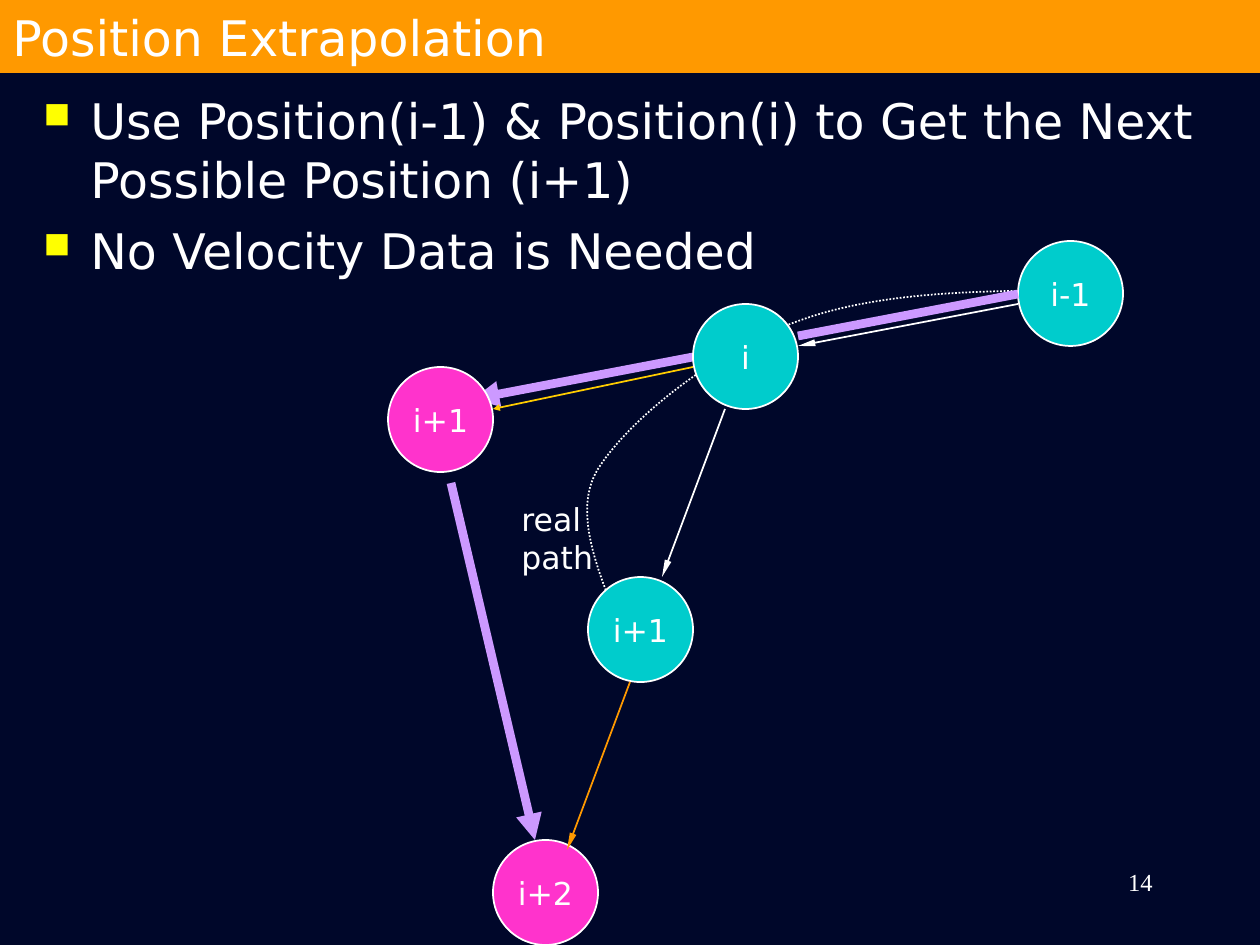
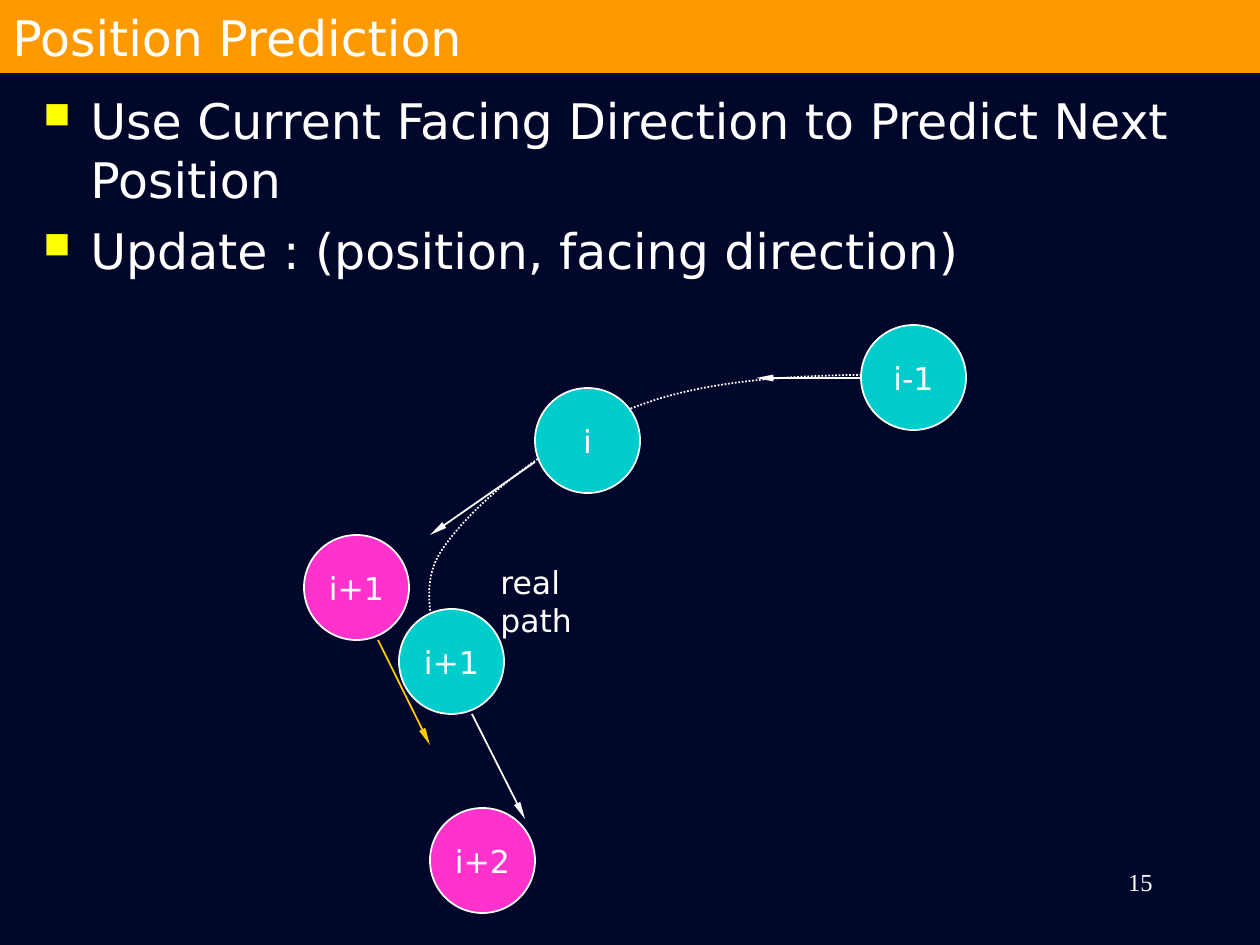
from pptx import Presentation, util as u
from pptx.dml.color import RGBColor
from pptx.enum import dml, shapes, text
from pptx.oxml import ns
from lxml import etree

SCALE = 914400 / 126


class Theme:
    background = RGBColor.from_string("00072A")
    band = RGBColor.from_string("FF9900")
    white = RGBColor.from_string("FFFFFF")
    actual = RGBColor.from_string("00CCCC")
    predicted = RGBColor.from_string("FF33CC")
    extrapolated = RGBColor.from_string("CC99FF")
    yellow = RGBColor.from_string("FFCC00")
    bullet = "FFFF00"
    font = "DejaVu Sans"
    number_font = "Times New Roman"
    heading_size = u.Pt(28)
    label_size = u.Pt(18)
    number_size = u.Pt(14)
    thin = u.Pt(1)
    thick = u.Pt(5)


def px(*lengths):
    return [u.Emu(round(length * SCALE)) for length in lengths]


def write(shape, lines, size, font=Theme.font, align=text.PP_ALIGN.LEFT, wrap=True):
    frame = shape.text_frame
    frame.word_wrap = wrap
    frame.text = "\n".join(lines)
    for paragraph in frame.paragraphs:
        paragraph.alignment = align
        paragraph.font.size = size
        paragraph.font.name = font
        paragraph.font.color.rgb = Theme.white
    return frame


DIAMETER = 105
PATH = [(1113, 291), (1002, 290), (890, 289), (804, 319), (718, 348),
        (630, 418), (598, 469), (567, 519), (612, 595), (615, 620)]

SLIDES = [
    dict(
        title="Position Extrapolation",
        number="14",
        body_height=525,
        bullets=["Use Position(i-1) & Position(i) to Get the Next Possible Position (i+1)",
                 "No Velocity Data is Needed"],
        path_shift=(0, 0),
        label=(509, 494),
        circles=[("i-1", 1018, 241, Theme.actual), ("i+1", 388, 367, Theme.predicted),
                 ("i", 693, 304, Theme.actual), ("i+1", 588, 577, Theme.actual),
                 ("i+2", 493, 840, Theme.predicted)],
        lines_behind=[(693, 357, 473, 399, Theme.extrapolated, Theme.thick, "med")],
        lines_in_front=[(725, 409, 662, 577, Theme.white, Theme.thin, "lg"),
                        (630, 682, 567, 850, Theme.band, Theme.thin, "lg"),
                        (1018, 304, 798, 346, Theme.white, Theme.thin, "lg"),
                        (693, 367, 493, 409, Theme.yellow, Theme.thin, "sm"),
                        (1018, 294, 798, 336, Theme.extrapolated, Theme.thick, None),
                        (451, 483, 535, 840, Theme.extrapolated, Theme.thick, "med")],
    ),
    dict(
        title="Position Prediction",
        number="15",
        body_height=210,
        bullets=["Use Current Facing Direction to Predict Next Position",
                 "Update : (position, facing direction)"],
        path_shift=(-158, 84),
        label=(488, 557),
        circles=[("i-1", 861, 325, Theme.actual), ("i+1", 304, 535, Theme.predicted),
                 ("i", 535, 388, Theme.actual), ("i+1", 399, 609, Theme.actual),
                 ("i+2", 430, 808, Theme.predicted)],
        lines_behind=[],
        lines_in_front=[(861, 378, 756, 378, Theme.white, Theme.thin, "lg"),
                        (535, 462, 430, 535, Theme.white, Theme.thin, "lg"),
                        (472, 714, 525, 819, Theme.white, Theme.thin, "lg"),
                        (378, 640, 430, 745, Theme.yellow, Theme.thin, "lg")],
    ),
]

presentation = Presentation()
presentation.slide_width, presentation.slide_height = px(1260, 945)

for content in SLIDES:
    slide = presentation.slides.add_slide(presentation.slide_layouts[6])
    slide.background.fill.solid()
    slide.background.fill.fore_color.rgb = Theme.background

    band = slide.shapes.add_shape(shapes.MSO_SHAPE.RECTANGLE, *px(0, 0, 1260, 73))
    band.shadow.inherit = False
    band.fill.solid()
    band.fill.fore_color.rgb = Theme.band
    band.line.fill.background()
    write(band, [content["title"]], Theme.heading_size).vertical_anchor = text.MSO_ANCHOR.MIDDLE

    body = slide.shapes.add_textbox(*px(31, 84, 1197, content["body_height"]))
    for paragraph in write(body, content["bullets"], Theme.heading_size).paragraphs:
        paragraph.space_before = u.Pt(7)
        properties = paragraph._p.get_or_add_pPr()
        indent = px(47)[0]
        properties.set("marL", str(indent))
        properties.set("indent", str(-indent))
        colour = etree.Element(ns.qn("a:buClr"))
        etree.SubElement(colour, ns.qn("a:srgbClr"), val=Theme.bullet)
        size = etree.Element(ns.qn("a:buSzPct"), val="75000")
        character = etree.Element(ns.qn("a:buChar"), char="■")
        position = len(properties.findall(ns.qn("a:spcBef")))
        properties[position:position] = [colour, size, character]

    number = slide.shapes.add_textbox(*px(903, 861, 262, 63))
    frame = write(number, [content["number"]], Theme.number_size,
                  Theme.number_font, text.PP_ALIGN.RIGHT)
    frame.paragraphs[0].space_before = u.Pt(8.8)

    for layer in ("lines_behind", "lines_in_front"):
        if layer == "lines_in_front":
            shift_x, shift_y = content["path_shift"]
            points = [(x + shift_x, y + shift_y) for x, y in PATH]
            builder = slide.shapes.build_freeform(*points[0], scale=SCALE)
            builder.add_line_segments(points[1:], close=False)
            real_path = builder.convert_to_shape()
            real_path.shadow.inherit = False
            real_path.fill.background()
            real_path.line.color.rgb = Theme.white
            real_path.line.width = Theme.thin
            real_path.line.dash_style = dml.MSO_LINE.ROUND_DOT
            segments = list(real_path._element.iter(ns.qn("a:lnTo")))
            outline = segments[0].getparent()
            for start in range(0, len(segments), 3):
                curve = etree.SubElement(outline, ns.qn("a:cubicBezTo"))
                for segment in segments[start:start + 3]:
                    curve.append(segment[0])
                    outline.remove(segment)

            label = slide.shapes.add_textbox(*px(*content["label"], 157, 50))
            write(label, ["real path"], Theme.label_size)

            for name, left, top, fill in content["circles"]:
                circle = slide.shapes.add_shape(
                    shapes.MSO_SHAPE.OVAL, *px(left, top, DIAMETER, DIAMETER))
                circle.shadow.inherit = False
                circle.fill.solid()
                circle.fill.fore_color.rgb = fill
                circle.line.color.rgb = Theme.white
                circle.line.width = Theme.thin
                frame = write(circle, [name], Theme.label_size,
                              align=text.PP_ALIGN.CENTER, wrap=False)
                frame.vertical_anchor = text.MSO_ANCHOR.MIDDLE

        for *ends, colour, width, head_length in content[layer]:
            connector = slide.shapes.add_connector(shapes.MSO_CONNECTOR.STRAIGHT, *px(*ends))
            connector.line.color.rgb = colour
            connector.line.width = width
            if head_length:
                head_width = "sm" if width == Theme.thin else "med"
                etree.SubElement(connector.line._get_or_add_ln(), ns.qn("a:tailEnd"),
                                 type="triangle", w=head_width, len=head_length)
            etree.SubElement(connector._element.spPr, ns.qn("a:effectLst"))

presentation.save("out.pptx")
